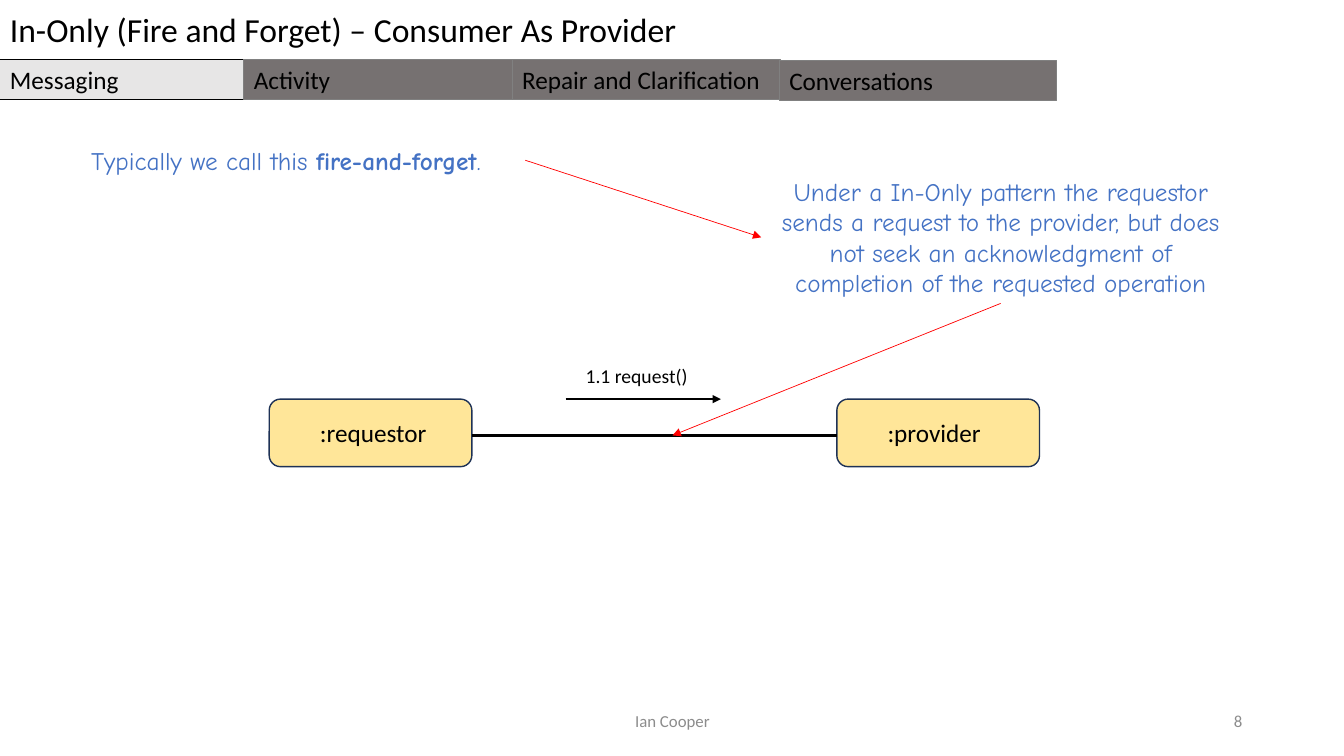
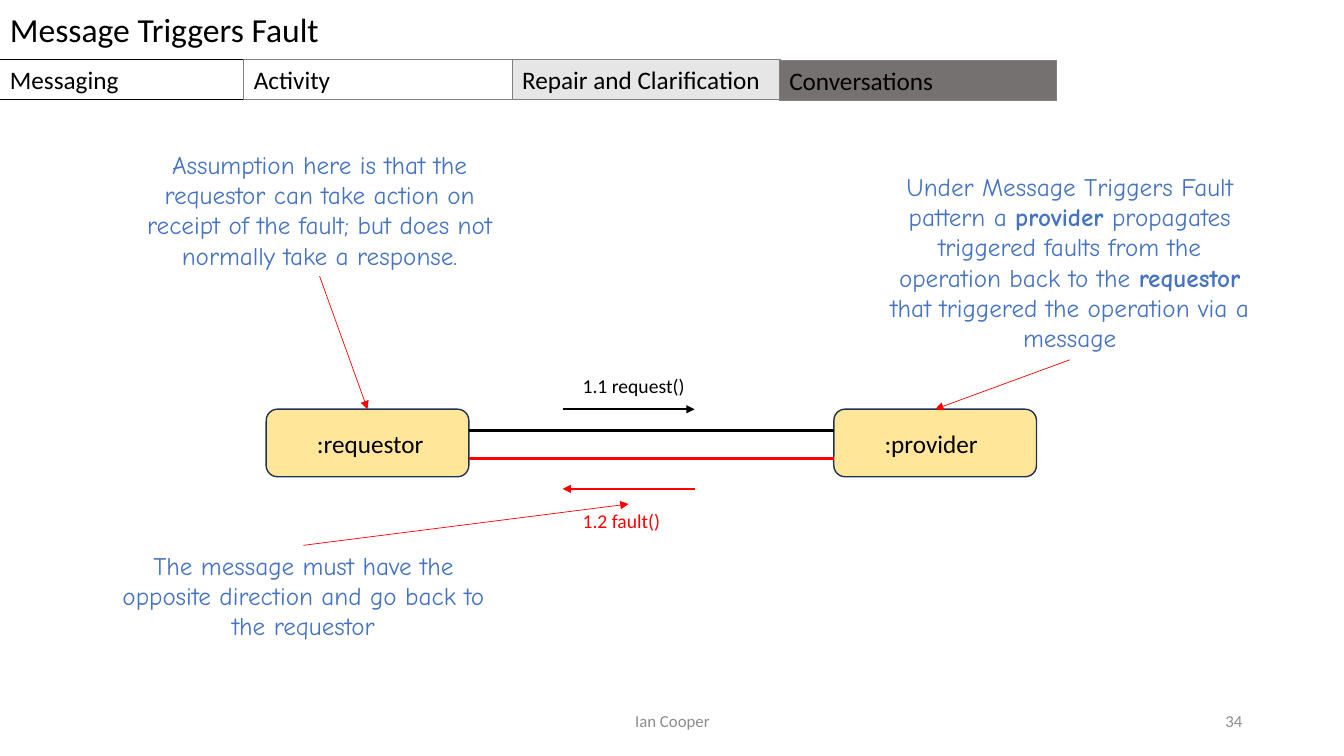
"""Builds two slides on messaging patterns: In-Only and Message Triggers Fault."""
import pptx
import pptx.dml.color
import pptx.enum.shapes
import pptx.enum.text
import pptx.oxml
import pptx.oxml.ns
import pptx.shapes.autoshape
import pptx.util

Inches = pptx.util.Inches
RGBColor = pptx.dml.color.RGBColor
PRESET = pptx.enum.shapes.MSO_SHAPE
ALIGN = pptx.enum.text.PP_ALIGN
ANCHOR = pptx.enum.text.MSO_ANCHOR

BLACK = RGBColor(0x00, 0x00, 0x00)
WHITE = RGBColor(0xFF, 0xFF, 0xFF)
RED = RGBColor(0xFF, 0x00, 0x00)
NOTE_BLUE = RGBColor(0x44, 0x72, 0xC4)
FOOTER_GREY = RGBColor(0x8C, 0x8C, 0x8C)
TAB_CURRENT = RGBColor(0xE7, 0xE6, 0xE6)
TAB_AHEAD = RGBColor(0x76, 0x71, 0x71)
TAB_BORDER = RGBColor(0x80, 0x80, 0x80)
BOX_YELLOW = RGBColor(0xFF, 0xE6, 0x99)
BOX_BORDER = RGBColor(0x1E, 0x32, 0x56)
TOP, LEFT, BOTTOM, RIGHT = range(4)


def add_text(slide, text, left, top, width, height, *, size=18, font="Calibri",
             color=BLACK, align=ALIGN.LEFT, anchor=ANCHOR.TOP, preset=None,
             fill=None, border=None, border_width=0.75, inset_left=0.1, inset_top=0.05):
    """Adds a text box or a filled shape; parts between asterisks are bold."""
    area = [Inches(value) for value in (left, top, width, height)]
    if preset is None:
        box = slide.shapes.add_textbox(*area)
    else:
        box = slide.shapes.add_shape(preset, *area)
        box.shadow.inherit = False
        box.fill.solid()
        box.fill.fore_color.rgb = fill
        if border is None:
            box.line.fill.background()
        else:
            box.line.color.rgb = border
            box.line.width = pptx.util.Pt(border_width)
    frame = box.text_frame
    frame.word_wrap = True
    frame.vertical_anchor = anchor
    frame.margin_left = Inches(inset_left)
    frame.margin_top = Inches(inset_top)
    paragraph = frame.paragraphs[0]
    paragraph.alignment = align
    for index, part in enumerate(text.split("*")):
        run = paragraph.add_run()
        run.text = part
        run.font.name = font
        run.font.size = pptx.util.Pt(size)
        run.font.bold = index % 2 == 1
        run.font.color.rgb = color
    return box


def add_line(slide, start, end, color=RED, width=0.5, arrow=True):
    """Draws a line between two ends, each a point or a shape with its side."""
    glued = [isinstance(spot[0], pptx.shapes.autoshape.Shape) for spot in (start, end)]
    points = [(0, 0) if is_glued else spot for spot, is_glued in zip((start, end), glued)]
    line = slide.shapes.add_connector(
        pptx.enum.shapes.MSO_CONNECTOR.STRAIGHT,
        *[Inches(value) for point in points for value in point])
    if glued[0]:
        line.begin_connect(*start)
    if glued[1]:
        line.end_connect(*end)
    line.line.color.rgb = color
    line.line.width = pptx.util.Pt(width)
    properties = line._element.spPr
    if arrow:
        head = pptx.oxml.parse_xml(f'<a:tailEnd {pptx.oxml.ns.nsdecls("a")} type="triangle"/>')
        properties.find(pptx.oxml.ns.qn("a:ln")).append(head)
    properties.append(pptx.oxml.parse_xml(f'<a:effectLst {pptx.oxml.ns.nsdecls("a")}/>'))


deck = pptx.Presentation()
deck.slide_width = Inches(13.33)
deck.slide_height = Inches(7.5)

tabs = [
    ("Messaging", 0, 0.59, 2.43, BLACK),
    ("Activity", 2.42, 0.59, 2.66, TAB_BORDER),
    ("Repair and Clarification", 5.08, 0.59, 2.66, TAB_BORDER),
    ("Conversations", 7.73, 0.6, 2.75, TAB_BORDER),
]
pages = [
    ("In-Only (Fire and Forget) – Consumer As Provider", "8", 0, 2.67, 3.96, 0.36, 1.54),
    ("Message Triggers Fault", "34", 2, 2.64, 4.06, 0.21, 1.31),
]
note_style = dict(font="Comic Neue", color=NOTE_BLUE, align=ALIGN.CENTER)
footer_style = dict(size=12, color=FOOTER_GREY, anchor=ANCHOR.MIDDLE)
box_width, box_height, box_step = 2.01, 0.67, 5.63

drawn = []
for title, number, current, left, top, link_drop, request_length in pages:
    slide = deck.slides.add_slide(deck.slide_layouts[6])
    add_text(slide, title, 0, -0.01, 13.33, 0.61, size=24,
             preset=PRESET.RECTANGLE, fill=WHITE, inset_top=0.1)
    add_text(slide, "Ian Cooper", 4.42, 6.95, 4.5, 0.4, align=ALIGN.CENTER, **footer_style)
    add_text(slide, number, 9.42, 6.95, 3, 0.4, align=ALIGN.RIGHT, **footer_style)
    for index, (label, tab_left, tab_top, tab_width, border) in enumerate(tabs):
        fill = WHITE if index < current else TAB_CURRENT if index == current else TAB_AHEAD
        add_text(slide, label, tab_left, tab_top, tab_width, 0.4,
                 preset=PRESET.RECTANGLE, fill=fill, border=border)

    requestor, provider = [
        add_text(slide, role, left + index * box_step, top, box_width, box_height,
                 anchor=ANCHOR.MIDDLE, preset=PRESET.ROUNDED_RECTANGLE, fill=BOX_YELLOW,
                 border=BOX_BORDER, border_width=1, inset_left=0.47)
        for index, role in enumerate([":requestor", ":provider"])]
    link_y = top + link_drop
    link_start, link_end = left + box_width, left + box_step
    add_line(slide, (link_start, link_y), (link_end, link_y), BLACK, 2.5, arrow=False)
    call_start = left + 2.94
    call_end = call_start + request_length
    add_line(slide, (call_start, top), (call_end, top), BLACK, 1.5)
    add_text(slide, "1.1 request()", left + 3.04, top - 0.4, 1.57, 0.34, size=14)
    drawn.append((slide, requestor, provider))

in_only = drawn[0][0]
name_note = add_text(in_only, "Typically we call this *fire-and-forget*.",
                     0.46, 1.39, 4.75, 0.4, **note_style)
pattern_note = add_text(
    in_only, "Under a In-Only pattern the requestor sends a request to the provider, but does "
    "not seek an acknowledgment of completion of the requested operation",
    7.55, 1.7, 4.75, 1.31, **note_style)
add_line(in_only, (name_note, RIGHT), (pattern_note, LEFT))
add_line(in_only, (pattern_note, BOTTOM), (6.67, 4.32))

fault, requestor, provider = drawn[1]
add_line(fault, (link_start, 4.55), (link_end, 4.55), RED, 2.5, arrow=False)
add_line(fault, (call_end, 4.85), (call_start, 4.85), RED, 1.5)
fault_label = add_text(fault, "1.2 fault()", 5.68, 5, 1.11, 0.34, size=14, color=RED)
propagation_note = add_text(
    fault, "Under Message Triggers Fault pattern a *provider* propagates triggered faults from "
    "the operation back to the *requestor *that triggered the operation via a message",
    8.71, 1.65, 3.8, 1.92, **note_style)
assumption_note = add_text(
    fault, "Assumption here is that the requestor can take action on receipt of the fault; "
    "but does not normally take a response.", 1.27, 1.43, 3.8, 1.31, **note_style)
direction_note = add_text(
    fault, "The message must have the opposite direction and go back to the requestor",
    1.11, 5.41, 3.8, 1.01, **note_style)
add_line(fault, (propagation_note, BOTTOM), (provider, TOP))
add_line(fault, (assumption_note, BOTTOM), (requestor, TOP))
add_line(fault, (direction_note, TOP), (fault_label, TOP))

deck.save("out.pptx")
